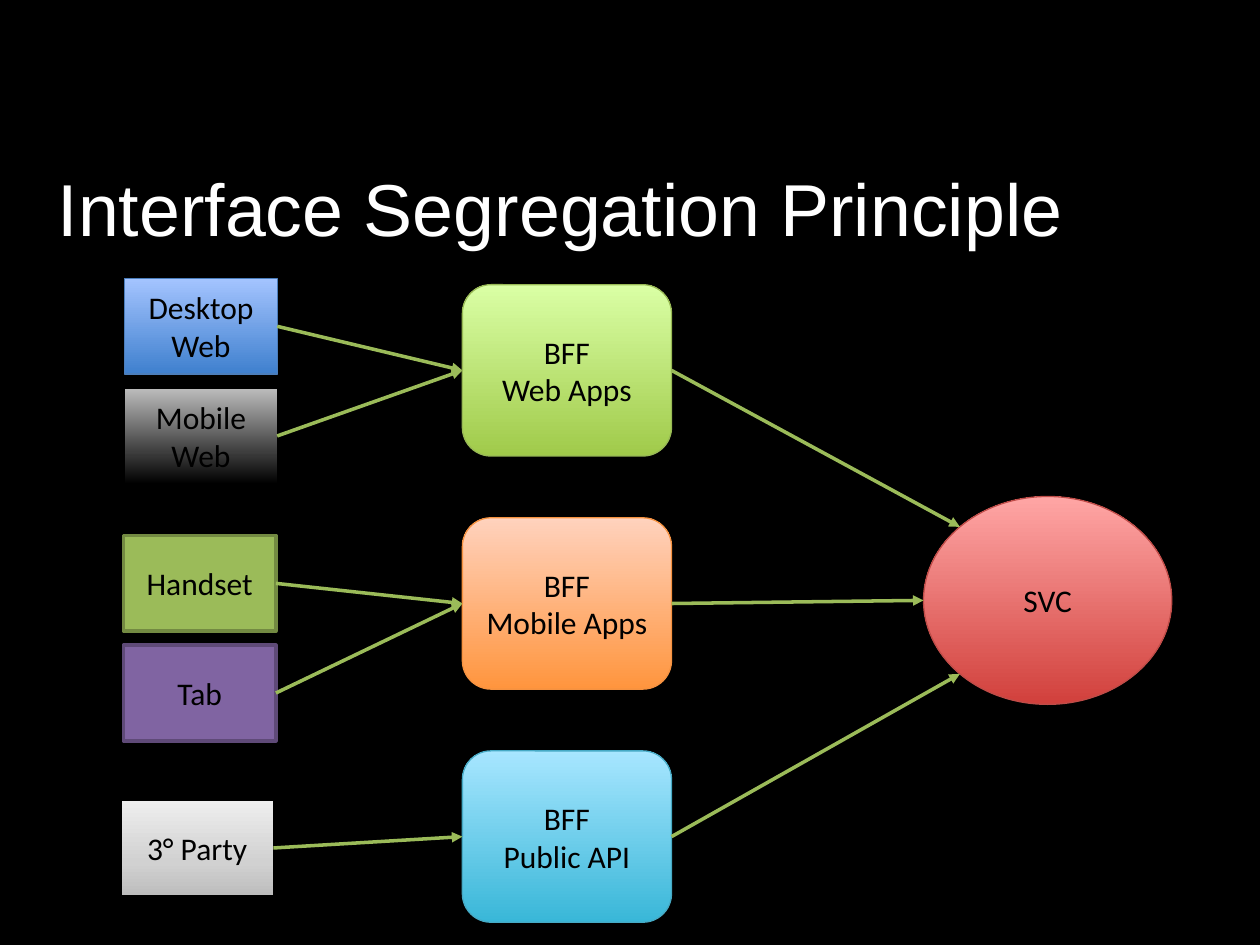
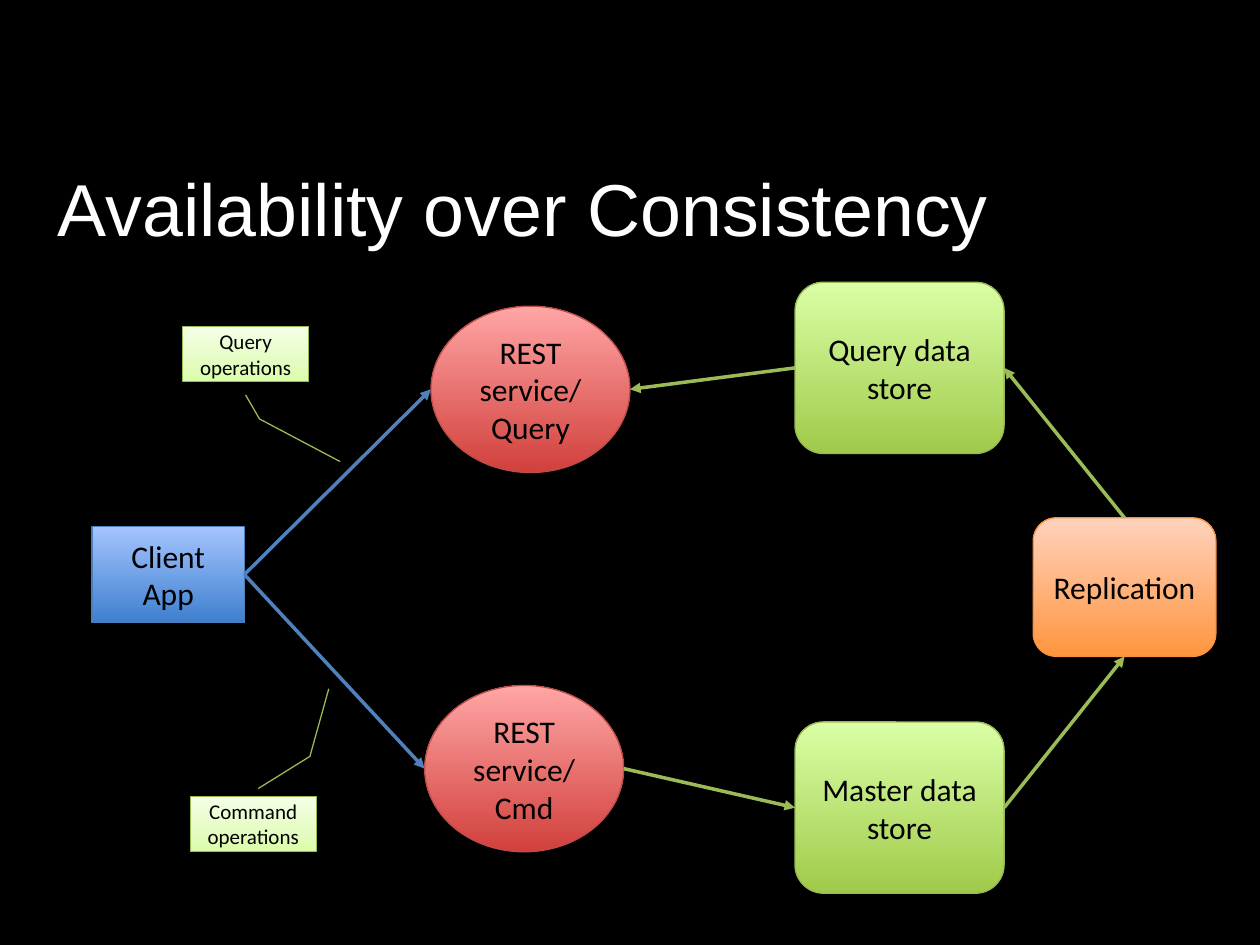
from copy import deepcopy
from math import cos, radians, sin

from lxml.etree import SubElement
from pptx import Presentation
from pptx.dml.color import RGBColor
from pptx.enum.shapes import MSO_CONNECTOR, MSO_SHAPE
from pptx.enum.text import MSO_ANCHOR, PP_ALIGN
from pptx.oxml.ns import qn
from pptx.util import Inches, Pt

COLORS = {
    "background": "000000",
    "title": "FFFFFF",
    "label": "000000",
    "green arrow": "9BBB59",
    "blue arrow": "4F81BD",
}
FILLS = {
    "blue": {0: "3F80CE", 1: "A4C4FF"},
    "black": {0: "000000", 1: "BDBDBD"},
    "olive": {0: "9BBB59"},
    "purple": {0: "8064A2"},
    "gray": {0: "BDBDBD", 0.35: "D1D1D1", 1: "EEEEEE"},
    "green": {0: "A0CA4A", 1: "DAFFA5"},
    "cyan": {0: "39B7D8", 1: "A7E6FF"},
    "orange": {0: "FF953E", 1: "FFD2BD"},
    "red": {0: "D1403C", 1: "FFA6A5"},
    "pale green": {0: "DAFDA7", 0.35: "E4FCC2", 1: "F5FFE7"},
}
OUTLINES = {
    "blue": "4B7EBC",
    "black": "000000",
    "olive": "738A42",
    "purple": "5F4A78",
    "gray": "000000",
    "green": "98B955",
    "cyan": "46AAC5",
    "orange": "F69240",
    "red": "BF4C48",
    "pale green": "98B955",
}
TOP, LEFT, BOTTOM, RIGHT = range(4)
CLIENT_SIZE = (1.21, 0.76)
BLOCK_SIZE = (1.66, 1.36)
SERVICE_SIZE = (1.58, 1.32)
NOTE_SIZE = (1, 0.44)


def rgb(name):
    return RGBColor.from_string(COLORS[name])


def rim(oval, degrees):
    angle = radians(degrees)
    return (
        int(oval.left + oval.width / 2 * (1 + cos(angle))),
        int(oval.top + oval.height / 2 * (1 + sin(angle))),
    )


class Diagram:
    def __init__(self):
        self.deck = Presentation()
        self.deck.slide_width = Inches(10)
        self.deck.slide_height = Inches(7.5)
        self.slide = None

    def start(self, title, title_height):
        self.slide = self.deck.slides.add_slide(self.deck.slide_layouts[6])
        background = self.slide.background.fill
        background.solid()
        background.fore_color.rgb = rgb("background")
        heading = self.slide.shapes.add_textbox(
            Inches(0.36), Inches(1.18), Inches(9.19), Inches(title_height))
        heading.text_frame.word_wrap = True
        heading.text_frame.margin_top = Inches(0.11)
        self.label(heading, title, "Arial", 42, "title", PP_ALIGN.LEFT)

    def label(self, holder, text, font, size, color, align):
        holder.text_frame.text = text
        for paragraph in holder.text_frame.paragraphs:
            paragraph.alignment = align
            for run in paragraph.runs:
                run.font.name = font
                run.font.size = Pt(size)
                run.font.color.rgb = rgb(color)

    def paint(self, shape, style):
        shape.shadow.inherit = False
        stops = FILLS[style]
        if len(stops) == 1:
            shape.fill.solid()
            shape.fill.fore_color.rgb = RGBColor.from_string(stops[0])
        else:
            shape.fill.gradient()
            shape.fill.gradient_angle = 90
            stop_list = shape._element.spPr.find(".//" + qn("a:gsLst"))
            while len(stop_list) < len(stops):
                stop_list.insert(1, deepcopy(stop_list[0]))
            for stop, (position, color) in zip(shape.fill.gradient_stops, stops.items()):
                stop.position = position
                stop.color.rgb = RGBColor.from_string(color)
        shape.line.color.rgb = RGBColor.from_string(OUTLINES[style])
        shape.line.width = Pt(2 if len(stops) == 1 else 0.75)

    def node(self, kind, text, left, top, size, style, font_size=18):
        shape = self.slide.shapes.add_shape(
            kind, Inches(left), Inches(top), *map(Inches, size))
        self.paint(shape, style)
        shape.text_frame.word_wrap = True
        shape.text_frame.vertical_anchor = MSO_ANCHOR.MIDDLE
        self.label(shape, text, "Calibri", font_size, "label", PP_ALIGN.CENTER)
        return shape

    def box(self, text, left, top, style):
        return self.node(MSO_SHAPE.RECTANGLE, text, left, top, CLIENT_SIZE, style)

    def block(self, text, left, top, style, size=BLOCK_SIZE):
        return self.node(MSO_SHAPE.ROUNDED_RECTANGLE, text, left, top, size, style)

    def oval(self, text, left, top, size=SERVICE_SIZE):
        return self.node(MSO_SHAPE.OVAL, text, left, top, size, "red")

    def callout(self, text, left, top, bends):
        note = self.node(
            MSO_SHAPE.LINE_CALLOUT_2, text, left, top, NOTE_SIZE, "pale green", 12)
        for index, bend in enumerate(bends):
            note.adjustments[index] = bend

    def arrow(self, source, target, color="green arrow"):
        connector = self.slide.shapes.add_connector(MSO_CONNECTOR.STRAIGHT, 0, 0, 0, 0)
        start, start_site = source
        end, end_site = target
        if isinstance(start, int):
            connector.begin_x, connector.begin_y = source
        else:
            connector.begin_connect(start, start_site)
        if isinstance(end, int):
            connector.end_x, connector.end_y = target
        else:
            connector.end_connect(end, end_site)
        connector.line.color.rgb = rgb(color)
        connector.line.width = Pt(2)
        SubElement(connector.line._get_or_add_ln(), qn("a:tailEnd"), type="triangle")
        SubElement(connector._element.spPr, qn("a:effectLst"))


def build_segregation(diagram):
    diagram.start("Interface Segregation Principle", 0.95)
    desktop = diagram.box("Desktop Web", 0.99, 2.21, "blue")
    mobile = diagram.box("Mobile Web", 0.99, 3.08, "black")
    handset = diagram.box("Handset", 0.98, 4.25, "olive")
    tablet = diagram.box("Tab", 0.98, 5.12, "purple")
    third_party = diagram.box("3° Party", 0.96, 6.35, "gray")
    web_bff, mobile_bff, public_bff = [
        diagram.block(f"BFF\n{audience}", 3.67, 2.26 + 1.85 * row, style)
        for row, (audience, style) in enumerate([
            ("Web Apps", "green"), ("Mobile Apps", "orange"), ("Public API", "cyan")])
    ]
    service = diagram.oval("SVC", 7.33, 3.94, (1.97, 1.65))
    for client, bff in [
        (desktop, web_bff), (mobile, web_bff), (handset, mobile_bff),
        (tablet, mobile_bff), (third_party, public_bff),
    ]:
        diagram.arrow((client, RIGHT), (bff, LEFT))
    for bff, degrees in [(web_bff, 225), (mobile_bff, 180), (public_bff, 135)]:
        diagram.arrow((bff, RIGHT), rim(service, degrees))


def build_availability(diagram):
    diagram.start("Availability over Consistency", 0.81)
    client = diagram.box("Client App", 0.73, 4.18, "blue")
    query_service = diagram.oval("REST service/ Query", 3.42, 2.43)
    command_service = diagram.oval("REST service/ Cmd", 3.37, 5.44)
    master_store = diagram.block("Master data store", 6.31, 5.73, "green")
    query_store = diagram.block("Query data store", 6.31, 2.24, "green")
    replication = diagram.block("Replication", 8.2, 4.11, "orange", (1.45, 1.1))
    for service in (command_service, query_service):
        diagram.arrow((client, RIGHT), rim(service, 180), "blue arrow")
    diagram.arrow(rim(command_service, 0), (master_store, LEFT))
    diagram.arrow((master_store, RIGHT), (replication, BOTTOM))
    diagram.arrow((replication, TOP), (query_store, RIGHT))
    diagram.arrow((query_store, LEFT), rim(query_service, 0))
    diagram.callout("Command operations", 1.51, 6.32,
                    (-0.14, 0.54, -0.72, 0.95, -1.94, 1.1))
    diagram.callout("Query operations", 1.45, 2.59,
                    (1.24, 0.5, 1.67, 0.61, 2.44, 1.25))


def main():
    diagram = Diagram()
    build_segregation(diagram)
    build_availability(diagram)
    diagram.deck.save("out.pptx")


if __name__ == "__main__":
    main()
